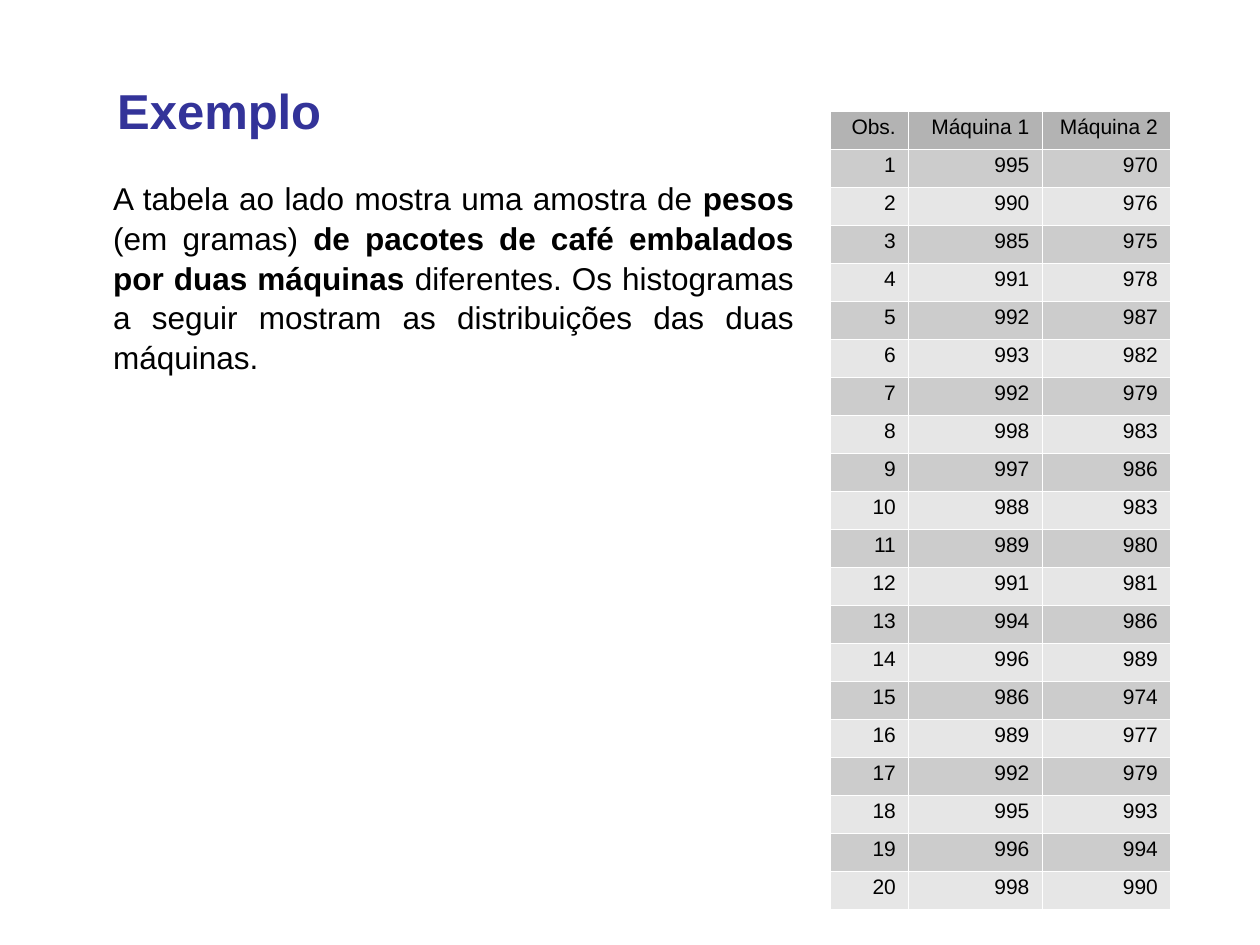
"""Build the slide comparing coffee package weights from two machines."""
from lxml import etree
from pptx import Presentation
from pptx.dml.color import RGBColor
from pptx.enum.text import MSO_ANCHOR, PP_ALIGN
from pptx.oxml.ns import qn
from pptx.util import Inches, Pt

LEFT, RIGHT, JUSTIFY = PP_ALIGN.LEFT, PP_ALIGN.RIGHT, PP_ALIGN.JUSTIFY
TOP, MIDDLE = MSO_ANCHOR.TOP, MSO_ANCHOR.MIDDLE

FONT = "Arial"
BLUE = RGBColor(0x33, 0x33, 0x99)
BLACK = RGBColor(0, 0, 0)
WHITE = RGBColor(0xFF, 0xFF, 0xFF)
HEADER_GRAY = RGBColor(0xB3, 0xB3, 0xB3)
BAND_GRAYS = [RGBColor(0xE6, 0xE6, 0xE6), RGBColor(0xCC, 0xCC, 0xCC)]

TITLE = [("Exemplo", True)]
BODY = [
    ("A tabela ao lado mostra uma amostra de ", False),
    ("pesos", True),
    (" (em gramas) ", False),
    ("de pacotes de café embalados por duas máquinas", True),
    (" diferentes. Os histogramas a seguir mostram as distribuições das duas máquinas.", False),
]
HEADER = ("Obs.", "Máquina 1", "Máquina 2")
MACHINE_1 = [995, 990, 985, 991, 992, 993, 992, 998, 997, 988,
             989, 991, 994, 996, 986, 989, 992, 995, 996, 998]
MACHINE_2 = [970, 976, 975, 978, 987, 982, 979, 983, 986, 983,
             980, 981, 986, 989, 974, 977, 979, 993, 994, 990]
COL_WIDTHS = (0.62, 1.06, 1.02)
TABLE_HEIGHT = 6.34
BORDER = Pt(0.06)


def write(tf, runs, size, color, align, spacing):
    p = tf.paragraphs[0]
    p.alignment = align
    p.line_spacing = spacing
    for text, bold in runs:
        r = p.add_run()
        r.text = text
        r.font.name = FONT
        r.font.size = Pt(size)
        r.font.bold = bold
        r.font.color.rgb = color


def format_frame(tf, anchor):
    tf.word_wrap = True
    tf.vertical_anchor = anchor
    tf.margin_left = tf.margin_right = Inches(0.1)
    tf.margin_top = tf.margin_bottom = Inches(0.05)


def set_borders(cell):
    tc_pr = cell._tc.get_or_add_tcPr()
    for i, side in enumerate(("a:lnL", "a:lnR", "a:lnT", "a:lnB")):
        ln = etree.Element(qn(side), w=str(int(BORDER)))
        fill = etree.SubElement(ln, qn("a:solidFill"))
        etree.SubElement(fill, qn("a:srgbClr"), val=str(WHITE))
        tc_pr.insert(i, ln)


def add_weights(s):
    rows = [HEADER, *zip(range(1, len(MACHINE_1) + 1), MACHINE_1, MACHINE_2)]
    table = s.shapes.add_table(len(rows), len(HEADER), Inches(6.59), Inches(0.88),
                               Inches(sum(COL_WIDTHS)), Inches(TABLE_HEIGHT)).table
    for col, width in zip(table.columns, COL_WIDTHS):
        col.width = Inches(width)
    for i, row in enumerate(rows):
        table.rows[i].height = Inches(TABLE_HEIGHT / len(rows))
        for j, value in enumerate(row):
            cell = table.cell(i, j)
            cell.margin_left = cell.margin_right = Inches(0.1)
            cell.margin_top = cell.margin_bottom = Inches(0.05)
            cell.fill.solid()
            cell.fill.fore_color.rgb = BAND_GRAYS[i % 2] if i else HEADER_GRAY
            set_borders(cell)
            write(cell.text_frame, [(str(value), False)], 12, BLACK, RIGHT, 0.93)


def main():
    prs = Presentation()
    prs.slide_width, prs.slide_height = Inches(10), Inches(7.5)
    s = prs.slides.add_slide(prs.slide_layouts[5])

    title = s.shapes.title
    title.left, title.top = Inches(0.83), Inches(0.56)
    title.width, title.height = Inches(8.51), Inches(0.63)
    format_frame(title.text_frame, MIDDLE)
    write(title.text_frame, TITLE, 28, BLUE, LEFT, 1.0)

    body = s.shapes.add_textbox(Inches(0.8), Inches(1.36), Inches(5.6), Inches(1.6))
    format_frame(body.text_frame, TOP)
    write(body.text_frame, BODY, 18, BLACK, JUSTIFY, 1.05)

    add_weights(s)
    prs.save("out.pptx")


if __name__ == "__main__":
    main()
